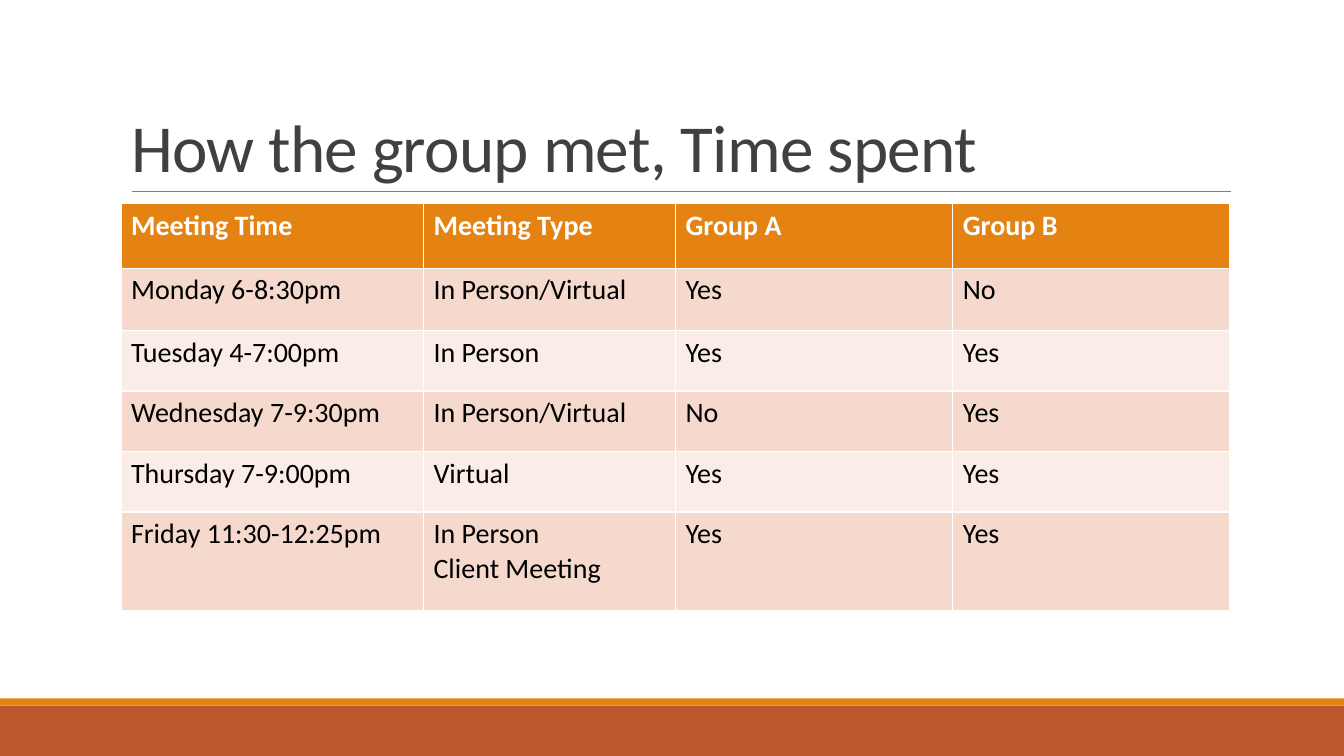
import pptx
import pptx.util
import pptx.dml.color
import pptx.enum.shapes
import pptx.enum.text
import pptx.oxml.ns
import lxml.etree

Inches = pptx.util.Inches
Pt = pptx.util.Pt
ALIGN = pptx.enum.text.PP_ALIGN
COLORS = {
    "rust": "BD582C",
    "orange": "E48312",
    "rule": "808080",
    "title": "404040",
    "white": "FFFFFF",
    "black": "000000",
    "band_dark": "F5D9CC",
    "band_light": "FAEDE7",
}


def rgb(name):
    return pptx.dml.color.RGBColor.from_string(COLORS[name])


def format_font(font, color, **values):
    font.color.rgb = rgb(color)
    for key, value in values.items():
        setattr(font, key, value)


prs = pptx.Presentation()
prs.slide_width = Inches(13.33)
prs.slide_height = Inches(7.5)
s = prs.slides.add_slide(prs.slide_layouts[5])

# Footer bands
for top, height, color in [(7, 0.5, "rust"), (6.93, 0.07, "orange")]:
    sp = s.shapes.add_shape(pptx.enum.shapes.MSO_SHAPE.RECTANGLE,
                            0, Inches(top), prs.slide_width, Inches(height))
    sp.shadow.inherit = False
    sp.fill.solid()
    sp.fill.fore_color.rgb = rgb(color)
    sp.line.fill.background()

# Rule under the title
rule = s.shapes.add_connector(pptx.enum.shapes.MSO_CONNECTOR.STRAIGHT,
                              Inches(1.31), Inches(1.9), Inches(12.21), Inches(1.9))
rule.line.color.rgb = rgb("rule")
rule.line.width = Pt(0.5)
lxml.etree.SubElement(rule._element.spPr, pptx.oxml.ns.qn("a:effectLst"))

# Title
title = s.shapes.title
box = {"left": 1.2, "top": 0.31, "width": 11, "height": 1.59}
for key, value in box.items():
    setattr(title, key, Inches(value))
tf = title.text_frame
tf.text = "How the group met, Time spent"
frame_format = {
    "vertical_anchor": pptx.enum.text.MSO_ANCHOR.BOTTOM,
    "word_wrap": True,
    "auto_size": pptx.enum.text.MSO_AUTO_SIZE.NONE,
}
for key, value in frame_format.items():
    setattr(tf, key, value)
p = tf.paragraphs[0]
p.alignment = ALIGN.LEFT
p.line_spacing = 0.85
r = p.runs[0]
format_font(r.font, "title", name="Calibri", size=Pt(48))
r._r.get_or_add_rPr().set("spc", "-50")

# Meeting table
meetings = [
    ["Meeting Time", "Meeting Type", "Group A", "Group B"],
    ["Monday 6-8:30pm", "In Person/Virtual", "Yes", "No"],
    ["Tuesday 4-7:00pm", "In Person", "Yes", "Yes"],
    ["Wednesday 7-9:30pm", "In Person/Virtual", "No", "Yes"],
    ["Thursday 7-9:00pm", "Virtual", "Yes", "Yes"],
    ["Friday 11:30-12:25pm", "In Person\nClient Meeting", "Yes", "Yes"],
]
col_widths = [3, 2.5, 2.75, 2.75]
row_heights = [0.64, 0.62, 0.6, 0.6, 0.6, 0.98]
table = s.shapes.add_table(len(meetings), len(col_widths), Inches(1.2), Inches(2.02),
                           Inches(sum(col_widths)), Inches(sum(row_heights))).table
for col, width in zip(table.columns, col_widths):
    col.width = Inches(width)
for row, height in zip(table.rows, row_heights):
    row.height = Inches(height)

for i, meeting in enumerate(meetings):
    header = i == 0
    fill = "orange" if header else "band_dark" if i % 2 else "band_light"
    for j, text in enumerate(meeting):
        cell = table.cell(i, j)
        cell.fill.solid()
        cell.fill.fore_color.rgb = rgb(fill)
        cell.text = text
        for p in cell.text_frame.paragraphs:
            p.alignment = ALIGN.JUSTIFY
            format_font(p.runs[0].font, "white" if header else "black",
                        name="Calibri", size=Pt(20), bold=header)

prs.save("out.pptx")
